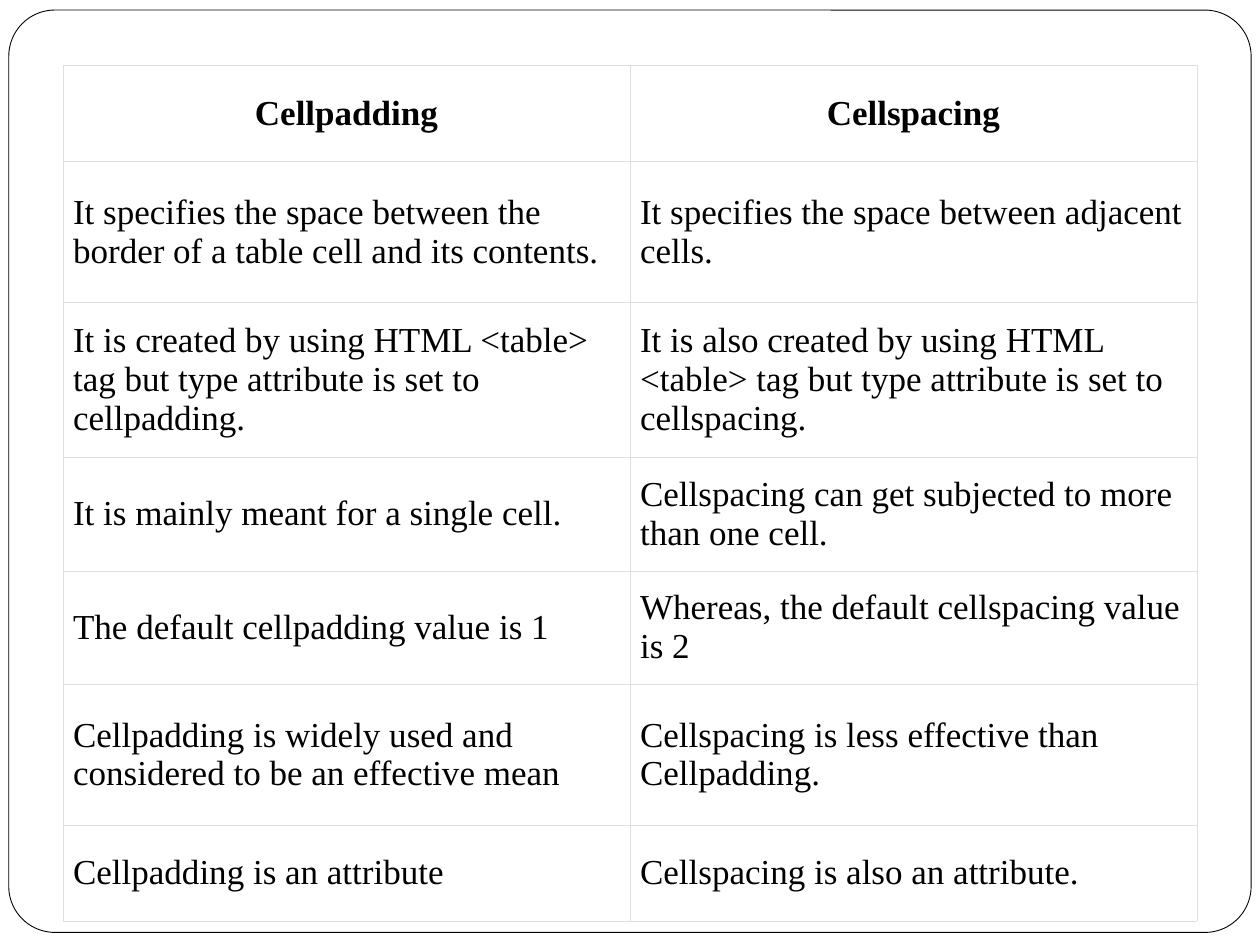
from lxml import etree
from pptx import Presentation
from pptx import util as u
from pptx.dml.color import RGBColor
from pptx.enum import shapes, text
from pptx.oxml.ns import qn

BLACK = RGBColor(0, 0, 0)
WHITE = RGBColor(255, 255, 255)
GRID = RGBColor(0xDF, 0xDF, 0xDF)
FONT = "Times New Roman"

ROWS = [
    (0.76, "Cellpadding", "Cellspacing"),
    (1.12, "It specifies the space between the border of a table cell and its contents.",
     "It specifies the space between adjacent cells."),
    (1.23, "It is created by using HTML <table> tag but type attribute is set to cellpadding.",
     "It is also created by using HTML <table> tag but type attribute is set to cellspacing."),
    (0.9, "It is mainly meant for a single cell.",
     "Cellspacing can get subjected to more than one cell."),
    (0.9, "The default cellpadding value is 1",
     "Whereas, the default cellspacing value is 2"),
    (1.12, "Cellpadding is widely used and considered to be an effective mean",
     "Cellspacing is less effective than Cellpadding."),
    (0.76, "Cellpadding is an attribute", "Cellspacing is also an attribute."),
]


def add_borders(cell):
    properties = cell._tc.get_or_add_tcPr()
    for position, side in enumerate(("lnL", "lnR", "lnT", "lnB")):
        line = etree.Element(qn("a:" + side), w=str(u.Pt(0.18)))
        fill = etree.SubElement(line, qn("a:solidFill"))
        etree.SubElement(fill, qn("a:srgbClr"), val=str(GRID))
        properties.insert(position, line)


deck = Presentation()
deck.slide_width = u.Inches(10)
deck.slide_height = u.Inches(7.5)
page = deck.slides.add_slide(deck.slide_layouts[6])

frame = page.shapes.add_shape(
    shapes.MSO_SHAPE.ROUNDED_RECTANGLE,
    u.Inches(0.07), u.Inches(0.08), u.Inches(9.86), u.Inches(7.32))
frame.adjustments[0] = 0.05
frame.shadow.inherit = False
frame.fill.solid()
frame.fill.fore_color.rgb = WHITE
frame.line.color.rgb = BLACK
frame.line.width = u.Pt(0.5)

total_height = sum(row[0] for row in ROWS)
comparison = page.shapes.add_table(
    len(ROWS), 2, u.Inches(0.5), u.Inches(0.52),
    u.Inches(9), u.Inches(total_height)).table
comparison.horz_banding = False
comparison.first_row = False

for row_index, (height, *entries) in enumerate(ROWS):
    comparison.rows[row_index].height = u.Inches(height)
    is_header = row_index == 0
    for column_index, entry in enumerate(entries):
        cell = comparison.cell(row_index, column_index)
        cell.vertical_anchor = text.MSO_ANCHOR.MIDDLE
        cell.margin_left = cell.margin_right = u.Inches(0.08)
        cell.margin_top = cell.margin_bottom = u.Inches(0.12)
        if row_index % 2:
            cell.fill.solid()
            cell.fill.fore_color.rgb = WHITE
        else:
            cell.fill.background()
        add_borders(cell)
        para = cell.text_frame.paragraphs[0]
        para.alignment = text.PP_ALIGN.CENTER if is_header else text.PP_ALIGN.LEFT
        span = para.add_run()
        span.text = entry
        span.font.name = FONT
        span.font.size = u.Pt(20)
        span.font.bold = is_header
        span.font.color.rgb = BLACK

deck.save("out.pptx")
